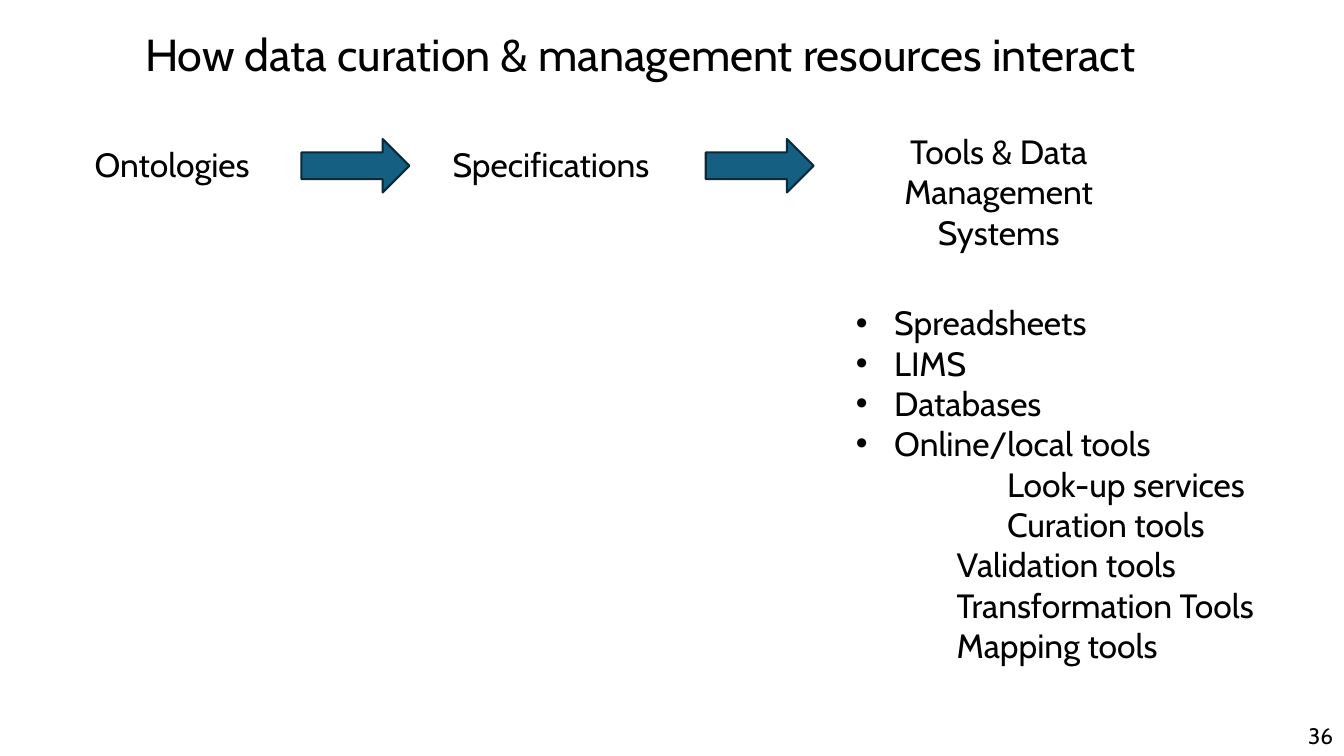
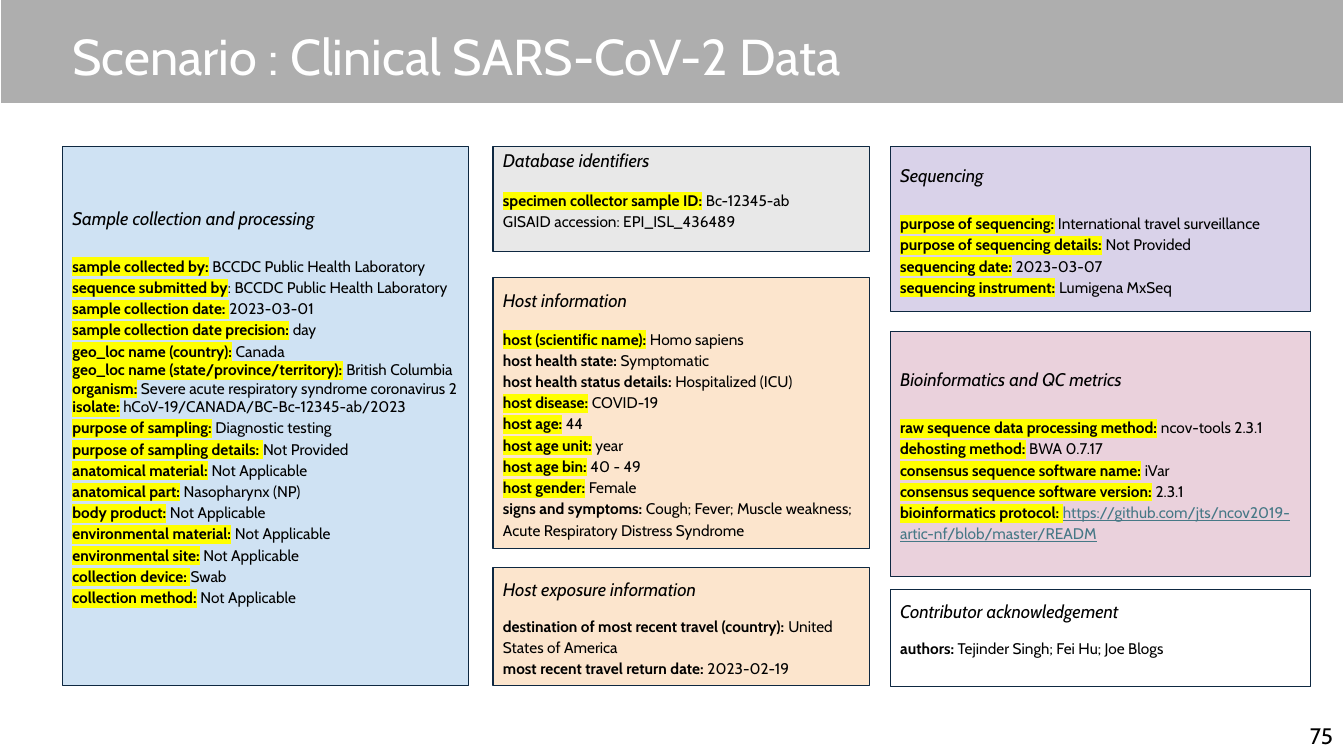
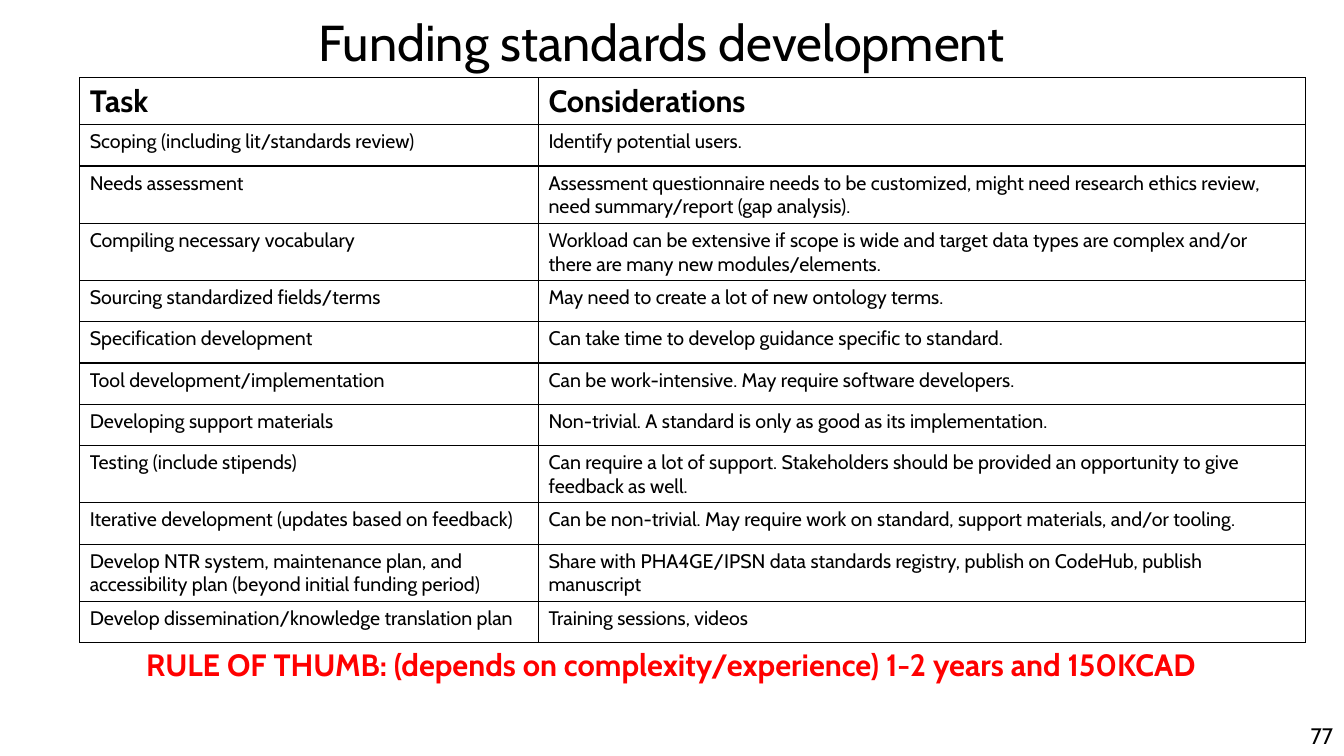
from lxml.etree import SubElement
from pptx import Presentation
from pptx.dml.color import RGBColor as Rgb
from pptx.enum.shapes import MSO_SHAPE as Shape
from pptx.enum.text import MSO_ANCHOR as Anchor, PP_ALIGN as Align
from pptx.oxml import parse_xml
from pptx.oxml.ns import nsdecls, qn
from pptx.util import Pt

SCALE = 9144
FACE = "Cabin"
HUES = {
    "ink": "000000", "white": "FFFFFF", "red": "FF0000", "link": "467886",
    "mark": "FFFF00", "band": "AEAEAE", "navy": "0E2841",
    "teal": "156082", "edge": "092A39",
    "blue": "CFE2F3", "grey": "E8E8E8", "peach": "FCE5CD",
    "lilac": "D9D2E9", "rose": "EAD1DC",
}

KINDS = ["Spreadsheets", "LIMS", "Databases", "Online/local tools"]
TOOLS = [("Look-up services", 150), ("Curation tools", 150),
         ("Validation tools", 100), ("Transformation Tools", 100),
         ("Mapping tools", 100)]

PLAIN = {
    "host health state:", "host health status details:", "signs and symptoms:",
    "destination of most recent travel (country):",
    "most recent travel return date:", "authors:",
}
TIGHT = {"geo_loc name (state/province/territory):", "organism:", "isolate:"}

CARDS = [
    ((62, 145, 403, 535), "blue", (10, 31), 18, "Sample collection and processing", [
        ("sample collected by:", " BCCDC Public Health Laboratory"),
        ("sequence submitted by", ": BCCDC Public Health Laboratory"),
        ("sample collection date: ", "2023-03-01"),
        ("sample collection date precision:", " day"),
        ("geo_loc name (country):", " Canada"),
        ("geo_loc name (state/province/territory):", " British Columbia"),
        ("organism:", " Severe acute respiratory syndrome coronavirus 2"),
        ("isolate:", " hCoV-19/CANADA/BC-Bc-12345-ab/2023"),
        ("purpose of sampling:", " Diagnostic testing"),
        ("purpose of sampling details: ", "Not Provided"),
        ("anatomical material:", " Not Applicable"),
        ("anatomical part:", " Nasopharynx (NP)"),
        ("body product:", " Not Applicable"),
        ("environmental material:", " Not Applicable"),
        ("environmental site:", " Not Applicable"),
        ("collection device: ", "Swab"),
        ("collection method:", " Not Applicable"),
    ]),
    ((489, 145, 373, 105), "grey", (0, 21), 12, "Database identifiers", [
        ("specimen collector sample ID:", " Bc-12345-ab"),
        ("", "GISAID accession: EPI_ISL_436489"),
    ]),
    ((489, 275, 373, 269), "peach", (8, 8), 11, "Host information", [
        ("host (scientific name):", " Homo sapiens"),
        ("host health state:", " Symptomatic"),
        ("host health status details:", " Hospitalized (ICU)"),
        ("host disease:", " COVID-19"),
        ("host age:", " 44"),
        ("host age unit:", " year"),
        ("host age bin:", " 40 - 49"),
        ("host gender:", " Female"),
        ("signs and symptoms:",
         " Cough; Fever; Muscle weakness; Acute Respiratory Distress Syndrome"),
    ]),
    ((489, 563, 373, 117), "peach", (8, 8), 10, "Host exposure information", [
        ("destination of most recent travel (country):", " United States of America"),
        ("most recent travel return date:", " 2023-02-19"),
    ]),
    ((883, 145, 417, 164), "lilac", (10, 10), 18, "Sequencing", [
        ("purpose of sequencing:", " International travel surveillance"),
        ("purpose of sequencing details:", " Not Provided"),
        ("sequencing date:", " 2023-03-07"),
        ("sequencing instrument:", " Lumigena MxSeq"),
    ]),
    ((883, 329, 417, 243), "rose", (10, 10), 18, "Bioinformatics and QC metrics", [
        ("raw sequence data processing method:", " ncov-tools 2.3.1"),
        ("dehosting method:", " BWA 0.7.17"),
        ("consensus sequence software name:", " iVar"),
        ("consensus sequence software version:", " 2.3.1"),
        ("bioinformatics protocol: ",
         "https://github.com/jts/ncov2019-artic-nf/blob/master/READM"),
    ]),
    ((883, 585, 417, 96), "white", (8, 29), 10, "Contributor acknowledgement", [
        ("authors:", " Tejinder Singh; Fei Hu; Joe Blogs"),
    ]),
]

TASKS = [
    ("Task", "Considerations"),
    ("Scoping (including lit/standards review)", "Identify potential users."),
    ("Needs assessment",
     "Assessment questionnaire needs to be customized, might need research "
     "ethics review, need summary/report (gap analysis)."),
    ("Compiling necessary vocabulary",
     "Workload can be extensive if scope is wide and target data types are "
     "complex and/or there are many new modules/elements."),
    ("Sourcing standardized fields/terms",
     "May need to create a lot of new ontology terms."),
    ("Specification development",
     "Can take time to develop guidance specific to standard."),
    ("Tool development/implementation",
     "Can be work-intensive. May require software developers."),
    ("Developing support materials",
     "Non-trivial. A standard is only as good as its implementation."),
    ("Testing (include stipends)",
     "Can require a lot of support. Stakeholders should be provided an "
     "opportunity to give feedback as well."),
    ("Iterative development (updates based on feedback)",
     "Can be non-trivial. May require work on standard, support materials, "
     "and/or tooling."),
    ("Develop NTR system, maintenance plan, and accessibility plan "
     "(beyond initial funding period)",
     "Share with PHA4GE/IPSN data standards registry, publish on CodeHub, "
     "publish manuscript"),
    ("Develop dissemination/knowledge translation plan",
     "Training sessions, videos"),
]


def px(num):
    return num * SCALE


def rgb(hue):
    return Rgb.from_string(HUES[hue])


def assign(item, **vals):
    for name, val in vals.items():
        setattr(item, name, val)


def add_run(para, text, size, hue="ink", mark=False, **vals):
    run = para.add_run()
    run.text = text
    assign(run.font, name=FACE, size=Pt(size), **vals)
    run.font.color.rgb = rgb(hue)
    if mark:
        glow = parse_xml(f'<a:highlight {nsdecls("a")}>'
                         f'<a:srgbClr val="{HUES["mark"]}"/></a:highlight>')
        run.font._element.find(qn("a:solidFill")).addnext(glow)


def add_text(slide, box, text, size, hue="ink", align=Align.LEFT,
             anchor=Anchor.TOP, space=1.0, bold=False):
    frame = slide.shapes.add_textbox(*map(px, box)).text_frame
    assign(frame, word_wrap=True, vertical_anchor=anchor)
    para = frame.paragraphs[0]
    assign(para, alignment=align, line_spacing=space)
    add_run(para, text, size, hue, bold=bold)


def add_block(slide, kind, box, fill, line, width):
    block = slide.shapes.add_shape(kind, *map(px, box))
    block.shadow.inherit = False
    block.fill.solid()
    block.fill.fore_color.rgb = rgb(fill)
    block.line.color.rgb = rgb(line)
    block.line.width = Pt(width)
    return block


def add_card(slide, box, fill, pads, gap, title, rows):
    frame = add_block(slide, Shape.RECTANGLE, box, fill, "navy", 0.75).text_frame
    top, low = pads
    assign(frame, word_wrap=True, vertical_anchor=Anchor.MIDDLE,
           margin_left=px(10), margin_right=px(10),
           margin_top=px(top), margin_bottom=px(low))
    head = frame.paragraphs[0]
    assign(head, alignment=Align.LEFT, line_spacing=1.15)
    add_run(head, title, 13, italic=True)
    for spot, (label, value) in enumerate(rows):
        para = frame.add_paragraph()
        assign(para, alignment=Align.LEFT,
               line_spacing=1.0 if label in TIGHT else 1.15,
               space_before=Pt(0 if spot else gap))
        if label:
            add_run(para, label, 11, mark=label not in PLAIN, bold=True)
        link = value.startswith("https")
        add_run(para, value, 11, "link" if link else "ink", underline=link)


def add_list(slide, box, items):
    frame = slide.shapes.add_textbox(*map(px, box)).text_frame
    frame.word_wrap = True
    for spot, (text, left, dot) in enumerate(items):
        para = frame.add_paragraph() if spot else frame.paragraphs[0]
        props = para._p.get_or_add_pPr()
        props.set("marL", str(px(left)))
        if dot:
            props.set("indent", str(-px(left)))
            SubElement(props, qn("a:buFont")).set("typeface", "Arial")
            SubElement(props, qn("a:buChar")).set("char", "•")
        add_run(para, text, 24)


def add_edges(cell):
    props = cell._tc.get_or_add_tcPr()
    for spot, side in enumerate(("lnL", "lnR", "lnT", "lnB")):
        props.insert(spot, parse_xml(
            f'<a:{side} {nsdecls("a")} w="{Pt(1)}"><a:solidFill>'
            f'<a:srgbClr val="{HUES["ink"]}"/></a:solidFill></a:{side}>'))


def add_grid(slide, left, top, cols, high, rows):
    grid = slide.shapes.add_table(
        len(rows), len(cols), px(left), px(top),
        px(sum(cols)), px(high * len(rows))).table
    assign(grid, first_row=False, horz_banding=False)
    for col, wide in zip(grid.columns, cols):
        col.width = px(wide)
    for r, row in enumerate(rows):
        for c, text in enumerate(row):
            cell = grid.cell(r, c)
            cell.fill.background()
            add_edges(cell)
            add_run(cell.text_frame.paragraphs[0], text,
                    14 if r else 22, bold=r == 0)


def add_slide(deck, page):
    slide = deck.slides.add_slide(deck.slide_layouts[6])
    add_text(slide, (1275, 710, 57, 40), page, 16,
             align=Align.RIGHT, anchor=Anchor.MIDDLE)
    return slide


def draw_flow(deck):
    slide = add_slide(deck, "36")
    add_text(slide, (134, 22, 1066, 64),
             "How data curation & management resources interact", 32)
    add_text(slide, (84, 138, 181, 50), "Ontologies", 24)
    add_text(slide, (439, 138, 228, 50), "Specifications", 24)
    add_text(slide, (839, 125, 303, 131), "Tools & Data Management Systems", 24,
             align=Align.CENTER)
    for left in (299, 700):
        add_block(slide, Shape.RIGHT_ARROW, (left, 138, 107, 53),
                  "teal", "edge", 1.5)
    add_list(slide, (839, 295, 439, 374),
             [(text, 38, True) for text in KINDS]
             + [(text, left, False) for text, left in TOOLS])


def draw_case(deck):
    slide = add_slide(deck, "75")
    add_block(slide, Shape.RECTANGLE, (0, -1, 1333, 105), "band", "white", 2)
    add_text(slide, (62, 17, 1150, 83), "Scenario : Clinical SARS-CoV-2 Data",
             36, "white", anchor=Anchor.MIDDLE, space=0.9)
    for card in CARDS:
        add_card(slide, *card)


def draw_funds(deck):
    slide = add_slide(deck, "77")
    add_text(slide, (306, 6, 722, 71), "Funding standards development", 36)
    add_grid(slide, 79, 77, (455, 761), 41, TASKS)
    add_text(slide, (135, 636, 1105, 47),
             "RULE OF THUMB: (depends on complexity/experience) "
             "1-2 years and 150KCAD", 22, "red", bold=True)


def main():
    deck = Presentation()
    assign(deck, slide_width=px(1333), slide_height=px(750))
    draw_flow(deck)
    draw_case(deck)
    draw_funds(deck)
    deck.save("out.pptx")


if __name__ == "__main__":
    main()
